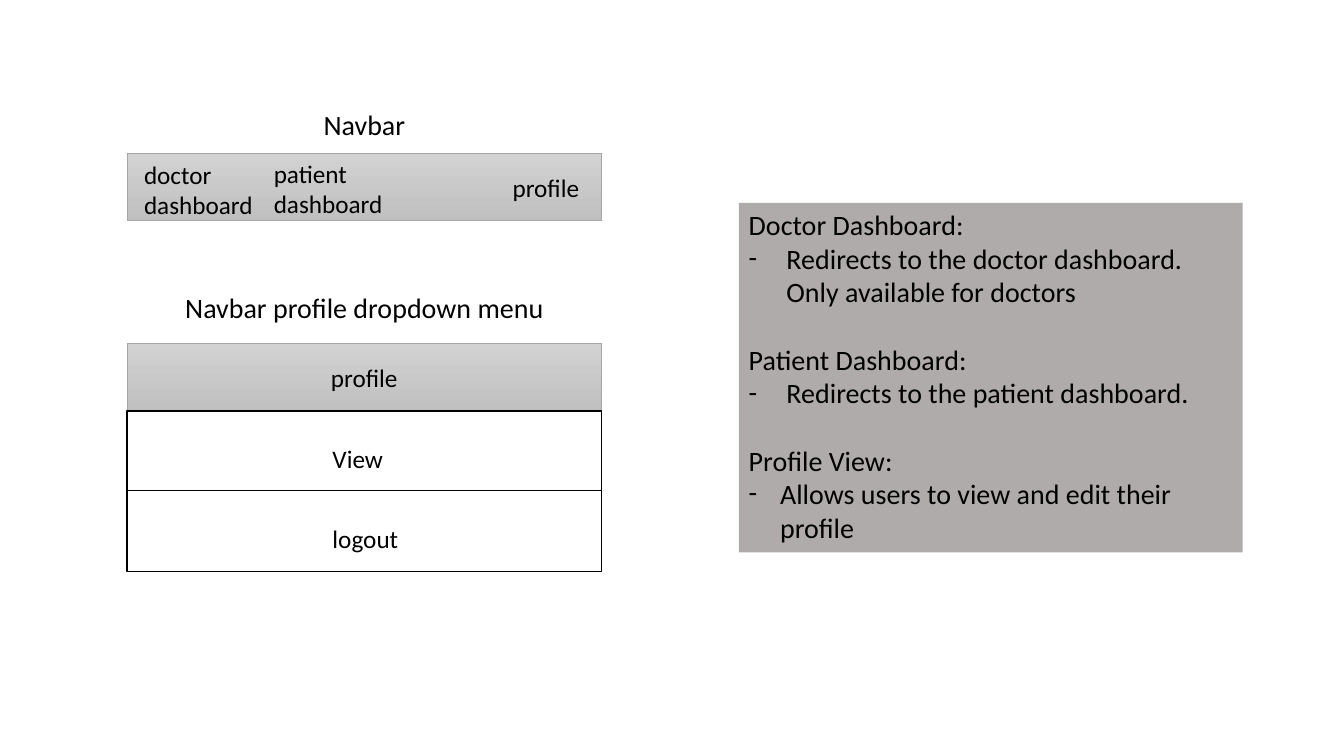
"""Build a slide that sketches a navbar and its profile dropdown menu."""
from dataclasses import dataclass

from lxml.etree import SubElement
from pptx import Presentation
from pptx.dml.color import RGBColor
from pptx.enum.shapes import MSO_CONNECTOR, MSO_SHAPE
from pptx.enum.text import MSO_ANCHOR, PP_ALIGN
from pptx.oxml.ns import qn
from pptx.shapes.autoshape import Shape
from pptx.shapes.shapetree import GroupShapes, SlideShapes
from pptx.text.text import TextFrame, _Paragraph
from pptx.util import Cm, Pt

BLACK = RGBColor(0x00, 0x00, 0x00)
BAR_TOP_GRAY = RGBColor(0xD2, 0xD2, 0xD2)
BAR_BOTTOM_GRAY = RGBColor(0xC0, 0xC0, 0xC0)
BAR_LINE_GRAY = RGBColor(0xA5, 0xA5, 0xA5)
NOTES_GRAY = RGBColor(0xAF, 0xAB, 0xAB)

FONT = "Calibri"
MENU_SIZE = 18
HEADING_SIZE = 20
BAR_LEFT, BAR_WIDTH, BAR_HEIGHT = 3.2, 11.96, 1.7
NAVBAR_TOP, PROFILE_TOP = 3.86, 8.66
ITEMS_TOP = PROFILE_TOP + BAR_HEIGHT
ITEMS_HEIGHT = 4.04
DIVIDER_TOP = 12.35


@dataclass(frozen=True)
class Label:
    """Text box with its place in centimetres."""

    text: str
    left: float
    top: float
    width: float
    height: float
    size: int = MENU_SIZE
    alignment: PP_ALIGN = PP_ALIGN.LEFT


@dataclass(frozen=True)
class Note:
    """Heading and the single dashed point below it."""

    heading: str
    point: str
    indent: float = 0.95


NAVBAR_LABELS = [
    Label("profile", 12.67, 4.22, 2.49, 1.02),
    Label("doctor\vdashboard", 3.38, 3.89, 3.48, 1.8),
    Label("patient\vdashboard", 6.65, 3.86, 3.48, 1.8),
]
SLIDE_LABELS = [
    Label("Navbar", 4.6, 2.59, 9.17, 1.12, HEADING_SIZE, PP_ALIGN.CENTER),
    Label("Navbar profile dropdown menu", 3.94, 7.19, 10.49, 1.12, HEADING_SIZE, PP_ALIGN.CENTER),
    Label("View", 8.13, 11.05, 2.11, 1.02),
    Label("logout", 8.13, 13.06, 2.29, 1.02),
]
NOTES = [
    Note("Doctor Dashboard:", "Redirects to the doctor dashboard. Only available for doctors"),
    Note("Patient Dashboard:", "Redirects to the patient dashboard."),
    Note("Profile View: ", "Allows users to view and edit their profile", 0.79),
]


def format_text(text_frame: TextFrame, size: int, alignment: PP_ALIGN) -> None:
    """Give every paragraph the slide's font, colour and alignment."""
    text_frame.word_wrap = True
    for paragraph in text_frame.paragraphs:
        paragraph.alignment = alignment
        for run in paragraph.runs:
            run.font.name = FONT
            run.font.size = Pt(size)
            run.font.color.rgb = BLACK


def add_label(shapes: SlideShapes | GroupShapes, label: Label) -> None:
    """Add a text box."""
    text_box = shapes.add_textbox(Cm(label.left), Cm(label.top), Cm(label.width), Cm(label.height))
    text_box.text_frame.text = label.text
    format_text(text_box.text_frame, label.size, label.alignment)


def add_rectangle(shapes: SlideShapes | GroupShapes, left: float, top: float,
                  width: float, height: float) -> Shape:
    """Add a rectangle without a shadow."""
    rectangle = shapes.add_shape(MSO_SHAPE.RECTANGLE, Cm(left), Cm(top), Cm(width), Cm(height))
    rectangle.shadow.inherit = False
    return rectangle


def add_bar(shapes: SlideShapes | GroupShapes, top: float) -> Shape:
    """Add a gray gradient bar."""
    bar = add_rectangle(shapes, BAR_LEFT, top, BAR_WIDTH, BAR_HEIGHT)
    bar.fill.gradient()
    bar.fill.gradient_angle = 270
    for stop, color in zip(bar.fill.gradient_stops, (BAR_TOP_GRAY, BAR_BOTTOM_GRAY)):
        stop.color.rgb = color
    bar.line.color.rgb = BAR_LINE_GRAY
    bar.line.width = Pt(0.5)
    return bar


def add_dash(paragraph: _Paragraph, indent: float) -> None:
    """Give a paragraph a dash bullet with a hanging indent."""
    properties = paragraph._p.get_or_add_pPr()
    properties.set("marL", str(Cm(indent)))
    properties.set("indent", str(-Cm(indent)))
    SubElement(properties, qn("a:buFont"), typeface=FONT)
    SubElement(properties, qn("a:buChar"), char="-")


def add_navbar(shapes: SlideShapes) -> None:
    """Add the navbar as one group."""
    navbar = shapes.add_group_shape()
    add_bar(navbar.shapes, NAVBAR_TOP)
    for label in NAVBAR_LABELS:
        add_label(navbar.shapes, label)


def add_dropdown(shapes: SlideShapes) -> None:
    """Add the profile bar and the two menu items below it."""
    profile = add_bar(shapes, PROFILE_TOP)
    profile.text_frame.text = "profile"
    profile.text_frame.vertical_anchor = MSO_ANCHOR.MIDDLE
    format_text(profile.text_frame, MENU_SIZE, PP_ALIGN.CENTER)

    items = add_rectangle(shapes, BAR_LEFT, ITEMS_TOP, BAR_WIDTH, ITEMS_HEIGHT)
    items.fill.background()
    items.line.color.rgb = BLACK
    items.line.width = Pt(1)

    divider = shapes.add_connector(MSO_CONNECTOR.STRAIGHT, Cm(BAR_LEFT), Cm(DIVIDER_TOP),
                                   Cm(BAR_LEFT + BAR_WIDTH), Cm(DIVIDER_TOP))
    divider.line.color.rgb = BLACK
    divider.line.width = Pt(0.5)
    SubElement(divider._element.spPr, qn("a:effectLst"))


def add_notes_panel(shapes: SlideShapes) -> None:
    """Add the gray panel that explains the links."""
    panel = add_rectangle(shapes, 18.62, 5.11, 12.7, 8.81)
    panel.fill.solid()
    panel.fill.fore_color.rgb = NOTES_GRAY
    panel.line.fill.background()
    text_frame = panel.text_frame
    text_frame.vertical_anchor = MSO_ANCHOR.TOP
    text_frame.text = "\n".join(f"{note.heading}\n{note.point}" for note in NOTES)
    format_text(text_frame, HEADING_SIZE, PP_ALIGN.LEFT)
    for heading in text_frame.paragraphs[2::2]:
        heading.space_before = Pt(24)
    for point, note in zip(text_frame.paragraphs[1::2], NOTES):
        add_dash(point, note.indent)


def main() -> None:
    """Build and save the slide."""
    presentation = Presentation()
    presentation.slide_width = Cm(33.87)
    presentation.slide_height = Cm(19.05)
    slide = presentation.slides.add_slide(presentation.slide_layouts[6])
    add_dropdown(slide.shapes)
    add_navbar(slide.shapes)
    add_notes_panel(slide.shapes)
    for label in SLIDE_LABELS:
        add_label(slide.shapes, label)
    presentation.save("out.pptx")


main()
